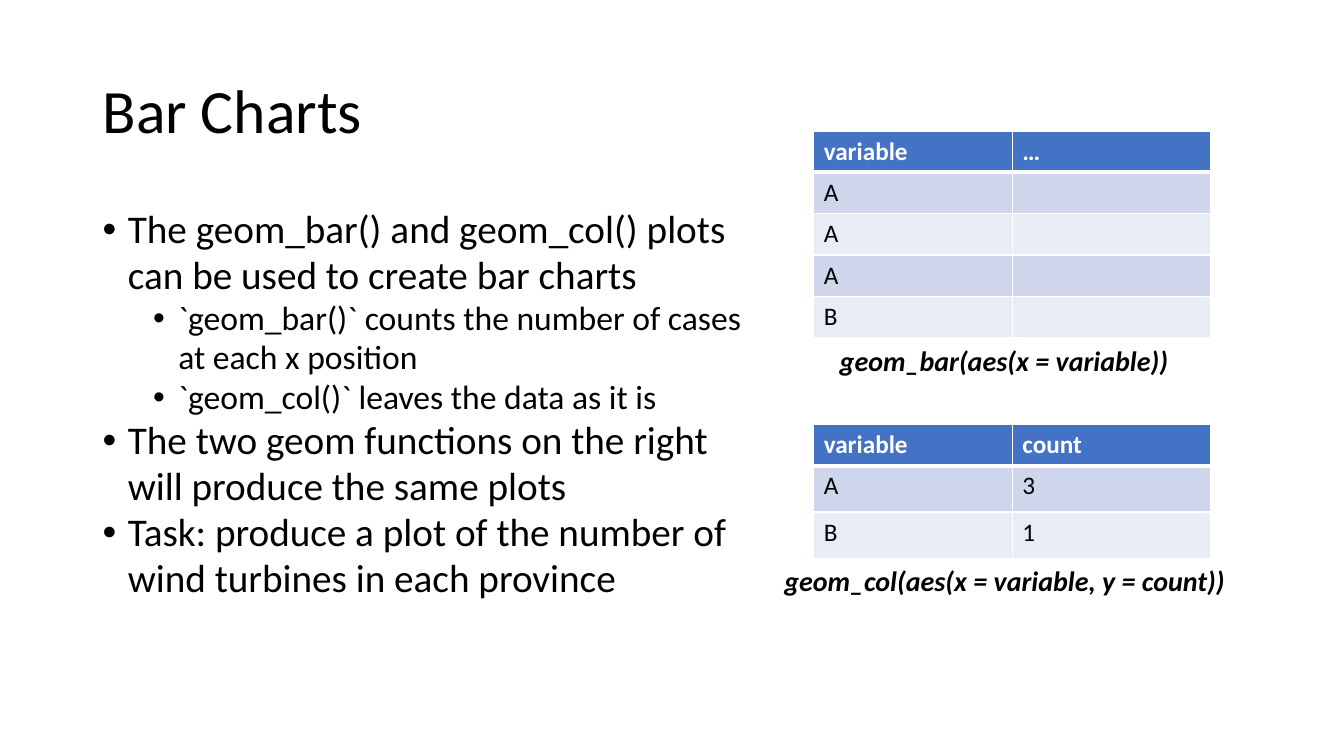
"""Build the Bar Charts slide with its bullets, two data tables and captions."""

from dataclasses import dataclass
from typing import NamedTuple, Optional

from lxml.etree import SubElement
from pptx import Presentation
from pptx.dml.color import RGBColor
from pptx.enum.text import MSO_ANCHOR as Anchor, PP_ALIGN as Align
from pptx.oxml.ns import qn
from pptx.util import Pt

PX = 9144


@dataclass(frozen=True)
class Theme:
    font: str = "Calibri"
    ink: str = "000000"
    paper: str = "FFFFFF"
    header: str = "4472C4"
    bands: tuple[str, str] = ("CFD5EA", "E9EBF5")
    title: int = 44
    bullet: int = 28
    sub_bullet: int = 24
    caption: int = 20
    cell: int = 18


class Box(NamedTuple):
    left: int
    top: int
    width: int
    height: int

    def emu(self) -> list[int]:
        return [length * PX for length in self]


class Bullet(NamedTuple):
    text: str
    level: int = 0


class DataTable(NamedTuple):
    left: int
    top: int
    column_width: int
    row_heights: list[int]
    rows: list[tuple[str, str]]


class Caption(NamedTuple):
    text: str
    box: Box


THEME = Theme()
TITLE_BOX = Box(92, 40, 1150, 145)
BULLETS_BOX = Box(92, 200, 677, 476)
BULLETS = [
    Bullet("The geom_bar() and geom_col() plots can be used to create bar charts"),
    Bullet("`geom_bar()` counts the number of cases at each x position", 1),
    Bullet("`geom_col()` leaves the data as it is", 1),
    Bullet("The two geom functions on the right will produce the same plots"),
    Bullet("Task: produce a plot of the number of wind turbines in each province"),
]
TABLES = [
    DataTable(807, 130, 197, [41] * 5,
              [("variable", "…"), ("A", ""), ("A", ""), ("A", ""), ("B", "")]),
    DataTable(807, 421, 197, [41, 46, 46],
              [("variable", "count"), ("A", "3"), ("B", "1")]),
]
CAPTIONS = [
    Caption("geom_bar(aes(x = variable))", Box(823, 336, 362, 44)),
    Caption("geom_col(aes(x = variable, y = count))", Box(768, 554, 471, 44)),
]


def write_text(paragraph, text: str, *, size: int, color: str = THEME.ink,
               bold: bool = False, italic: bool = False,
               spacing: Optional[float] = None) -> None:
    paragraph.alignment = Align.LEFT
    if spacing:
        paragraph.line_spacing = spacing
    run = paragraph.add_run()
    run.text = text
    font = run.font
    font.name, font.size = THEME.font, Pt(size)
    font.bold, font.italic = bold, italic
    font.color.rgb = RGBColor.from_string(color)


def add_frame(slide, box: Box, anchor: Anchor = Anchor.TOP, wrap: bool = True):
    frame = slide.shapes.add_textbox(*box.emu()).text_frame
    frame.word_wrap = wrap
    frame.vertical_anchor = anchor
    return frame


def add_bullets(slide, box: Box, bullets: list[Bullet]) -> None:
    frame = add_frame(slide, box)
    for index, bullet in enumerate(bullets):
        paragraph = frame.add_paragraph() if index else frame.paragraphs[0]
        properties = paragraph._p.get_or_add_pPr()
        properties.set("marL", str((25 + 50 * bullet.level) * PX))
        properties.set("indent", str(-25 * PX))
        SubElement(properties, qn("a:buFont"), typeface="Arial")
        SubElement(properties, qn("a:buChar"), char="•")
        paragraph.level = bullet.level
        write_text(paragraph, bullet.text, spacing=0.98,
                   size=THEME.sub_bullet if bullet.level else THEME.bullet)


def add_borders(cell, row: int) -> None:
    properties = cell._tc.get_or_add_tcPr()
    points = {"L": 1, "R": 1, "T": 3 if row == 1 else 1, "B": 1 if row else 3}
    for side, width in points.items():
        line = SubElement(properties, qn(f"a:ln{side}"), w=str(Pt(width)))
        fill = SubElement(line, qn("a:solidFill"))
        SubElement(fill, qn("a:srgbClr"), val=THEME.paper)


def add_data_table(slide, data: DataTable) -> None:
    columns = len(data.rows[0])
    box = Box(data.left, data.top, data.column_width * columns, sum(data.row_heights))
    table = slide.shapes.add_table(len(data.rows), columns, *box.emu()).table
    for column in table.columns:
        column.width = data.column_width * PX
    for row, (height, values) in enumerate(zip(data.row_heights, data.rows)):
        table.rows[row].height = height * PX
        for column, value in enumerate(values):
            cell = table.cell(row, column)
            add_borders(cell, row)
            cell.fill.solid()
            shade = THEME.bands[(row - 1) % 2] if row else THEME.header
            cell.fill.fore_color.rgb = RGBColor.from_string(shade)
            if value:
                write_text(cell.text_frame.paragraphs[0], value, size=THEME.cell,
                           color=THEME.ink if row else THEME.paper, bold=row == 0)


def main() -> None:
    deck = Presentation()
    deck.slide_width, deck.slide_height = 1333 * PX, 750 * PX
    slide = deck.slides.add_slide(deck.slide_layouts[6])
    title = add_frame(slide, TITLE_BOX, Anchor.MIDDLE)
    write_text(title.paragraphs[0], "Bar Charts", size=THEME.title, spacing=0.9)
    add_bullets(slide, BULLETS_BOX, BULLETS)
    for data in TABLES:
        add_data_table(slide, data)
    for caption in CAPTIONS:
        frame = add_frame(slide, caption.box, wrap=False)
        write_text(frame.paragraphs[0], caption.text, size=THEME.caption,
                   bold=True, italic=True)
    deck.save("out.pptx")


if __name__ == "__main__":
    main()
